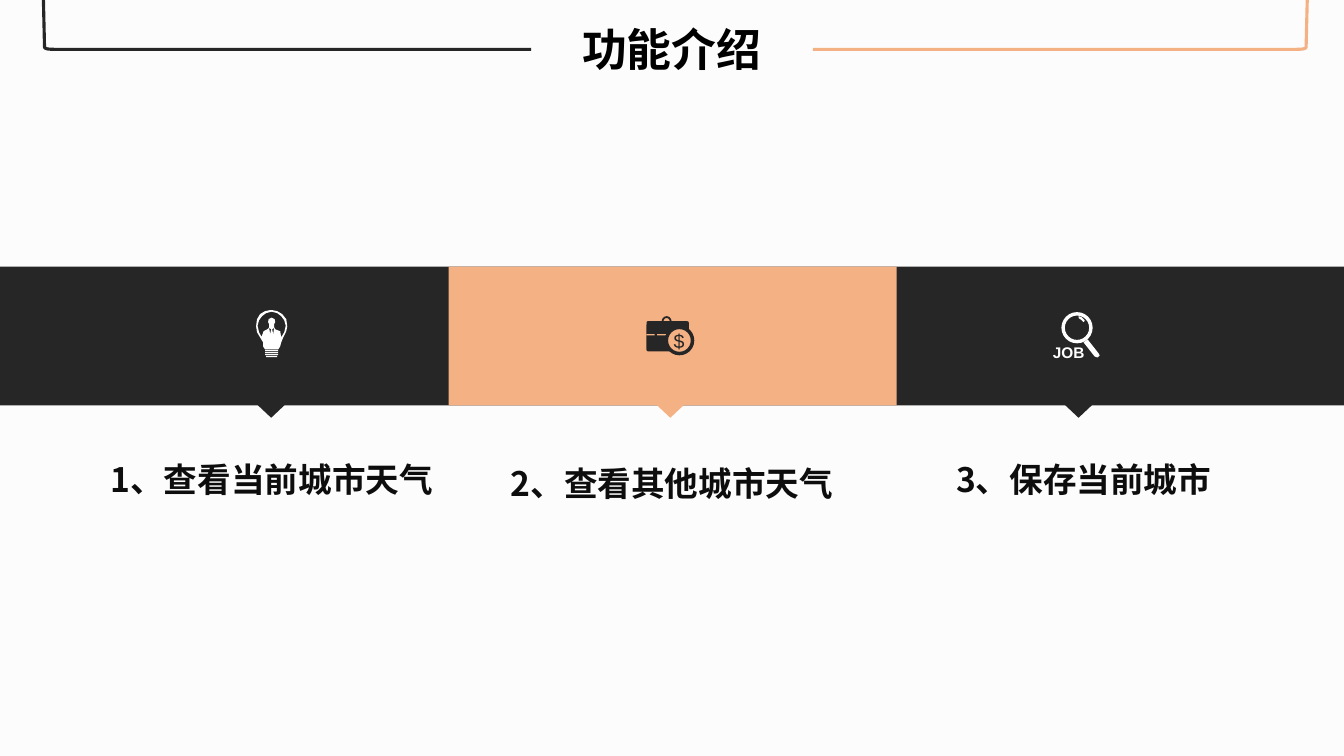
from pptx import Presentation
from pptx.dml.color import RGBColor
from pptx.enum.shapes import MSO_SHAPE as Preset
from pptx.enum.text import MSO_ANCHOR as Anchor, PP_ALIGN as Align
from pptx.util import Pt

DARK, ORANGE, WHITE = "262626", "F4B183", "FFFFFF"
SANS, CJK = "Arial", "Noto Sans CJK SC"
WIDTH, HEIGHT = 960, 540
GRID = 0.72


def color(value):
    return RGBColor.from_string(value)


def paint(shape, fill=None, line=None, weight=0):
    shape.shadow.inherit = False
    if fill:
        shape.fill.solid()
        shape.fill.fore_color.rgb = color(fill)
    else:
        shape.fill.background()
    if line:
        shape.line.color.rgb = color(line)
        shape.line.width = Pt(weight)
    else:
        shape.line.fill.background()
    return shape


def preset(slide, kind, box, fill, line=None, weight=0):
    shape = slide.shapes.add_shape(kind, *map(Pt, box))
    return paint(shape, fill, line, weight)


def outline(slide, contours, close=True):
    builder = None
    for contour in contours:
        start, *rest = [(Pt(x), Pt(y)) for x, y in contour]
        if builder is None:
            builder = slide.shapes.build_freeform(*start, scale=1.0)
        else:
            builder.move_to(*start)
        builder.add_line_segments(rest, close=close)
    return builder.convert_to_shape()


def icon_outline(slide, left, top, contours, fill):
    placed = [[(left + x * GRID, top + y * GRID) for x, y in contour]
              for contour in contours]
    paint(outline(slide, placed), fill)


def icon_part(slide, kind, left, top, cells, fill, line=None, weight=0):
    x, y, width, height = [cell * GRID for cell in cells]
    return preset(slide, kind, (left + x, top + y, width, height), fill, line, weight)


def label(slide, box, text, size, font, fill, bold=True, inset=None, anchor=Anchor.TOP):
    shape = slide.shapes.add_textbox(*map(Pt, box))
    frame = shape.text_frame
    frame.word_wrap = True
    frame.vertical_anchor = anchor
    if inset is not None:
        frame.margin_left = frame.margin_right = Pt(inset)
        frame.margin_top = frame.margin_bottom = Pt(inset)
    frame.text = text
    paragraph = frame.paragraphs[0]
    paragraph.alignment = Align.CENTER
    run = paragraph.runs[0]
    run.font.size, run.font.bold, run.font.name = Pt(size), bold, font
    run.font.color.rgb = color(fill)


def header(slide, left):
    label(slide, (left + 372.2, 12.2, 215.3, 46), "功能介绍", 32, SANS, "000000")
    for outer, inner, side, line in ((31, 379.4, 1, DARK), (933.8, 580.6, -1, ORANGE)):
        bend = [(5.5, 35.2), (3, 35), (1.4, 34.5), (0.8, 33.8), (0, 0)]
        points = [(inner, 35.3), (outer + side * 10, 35.3)]
        points += [(outer + side * x, y) for x, y in bend]
        placed = [(left + x, y) for x, y in points]
        paint(outline(slide, [placed], close=False), line=line, weight=2.25)


def bulb_icon(slide, left, top):
    glass = [(16, 0), (21, 1), (26, 4), (30, 9), (31, 16), (30, 21), (27, 27),
             (25, 32), (24, 36), (22, 39), (9, 39), (7, 36), (7, 32), (4, 27),
             (1, 22), (0, 16), (1, 9), (4, 4), (9, 1), (14, 0)]
    inside = [(15.5, 1.6), (21, 3), (25, 6), (28, 10), (29.5, 15.5), (28, 22),
              (25, 27), (24, 21), (19, 19), (18, 17), (18, 14), (19, 12),
              (18.5, 9), (15.5, 7.5), (12.5, 9), (12, 12), (13, 14), (13, 17),
              (12, 18.5), (7.5, 21), (5.5, 26.5), (3, 22), (1.5, 15.5),
              (3, 10), (6, 6), (10, 3)]
    lapels = [[(13, 17.5), (15, 19), (14, 24)], [(18, 17.5), (16, 19), (17, 24)]]
    icon_outline(slide, left, top, [glass, inside, *lapels], WHITE)
    for row in range(4):
        inset = 10 if row == 3 else 9
        icon_part(slide, Preset.RECTANGLE, left, top,
                  (inset, 39.5 + 2 * row, 31 - 2 * inset, 1.2), WHITE)


def bag_icon(slide, left, top):
    handle = icon_part(slide, Preset.DONUT, left, top, (15, 0, 10, 11), DARK)
    handle.adjustments[0] = 0.18
    bag = icon_part(slide, Preset.ROUNDED_RECTANGLE, left, top, (0, 5, 42, 30), DARK)
    bag.adjustments[0] = 0.06
    icon_part(slide, Preset.RECTANGLE, left, top, (0, 17.8, 20, 1.3), ORANGE)
    icon_part(slide, Preset.OVAL, left, top, (8, 17, 2.5, 3.5), DARK)
    icon_part(slide, Preset.OVAL, left, top, (19.7, 11.2, 26, 26), ORANGE, DARK, 2.5)
    label(slide, (left + 13.2, top + 7.2, 20, 20), "$", 14, SANS, DARK, False, 0, Anchor.MIDDLE)


def search_icon(slide, left, top):
    ring = icon_part(slide, Preset.DONUT, left, top, (8, 2, 31, 31), WHITE)
    ring.adjustments[0] = 0.11
    handle = [(30, 32), (34, 29), (45, 43), (46, 45), (44, 47), (41, 46)]
    glint = [(25, 6), (28, 7), (31, 10), (31, 11), (30, 12), (28, 10), (25, 8)]
    for part in (handle, glint):
        icon_outline(slide, left, top, [part], WHITE)
    label(slide, (left - 4, top + 22.3, 30, 16), "JOB", 11, SANS, WHITE, True, 0, Anchor.MIDDLE)


def band(slide, left, top, width, height):
    third = width / 3
    preset(slide, Preset.RECTANGLE, (left, top, width, height), DARK)
    preset(slide, Preset.RECTANGLE, (left + third + 0.5, top, third, height), ORANGE)
    for center, fill in ((193.7, DARK), (478.8, ORANGE), (770.4, DARK)):
        pointer = preset(slide, Preset.ISOSCELES_TRIANGLE,
                         (left + center - 10, top + height - 0.5, 20, 9.4), fill)
        pointer.rotation = 180
    bulb_icon(slide, left + 182.9, top + 31)
    bag_icon(slide, left + 461.8, top + 35.3)
    search_icon(slide, left + 752.4, top + 31)


def captions(slide, left, top):
    items = (("1、查看当前城市天气", 71.3, 0, 245.5),
             ("2、查看其他城市天气", 357.1, 2.9, 245.5),
             ("3、保存当前城市", 675.4, 0, 197.3))
    for text, x, y, width in items:
        label(slide, (left + x, top + y, width, 64), text, 24, CJK, "0D0D0D")


presentation = Presentation()
presentation.slide_width, presentation.slide_height = Pt(WIDTH), Pt(HEIGHT)
slide = presentation.slides.add_slide(presentation.slide_layouts[6])
slide.background.fill.solid()
slide.background.fill.fore_color.rgb = color("FCFCFC")
header(slide, 0)
band(slide, 0, 190.5, WIDTH, 99)
captions(slide, 0, 324)
presentation.save("out.pptx")
